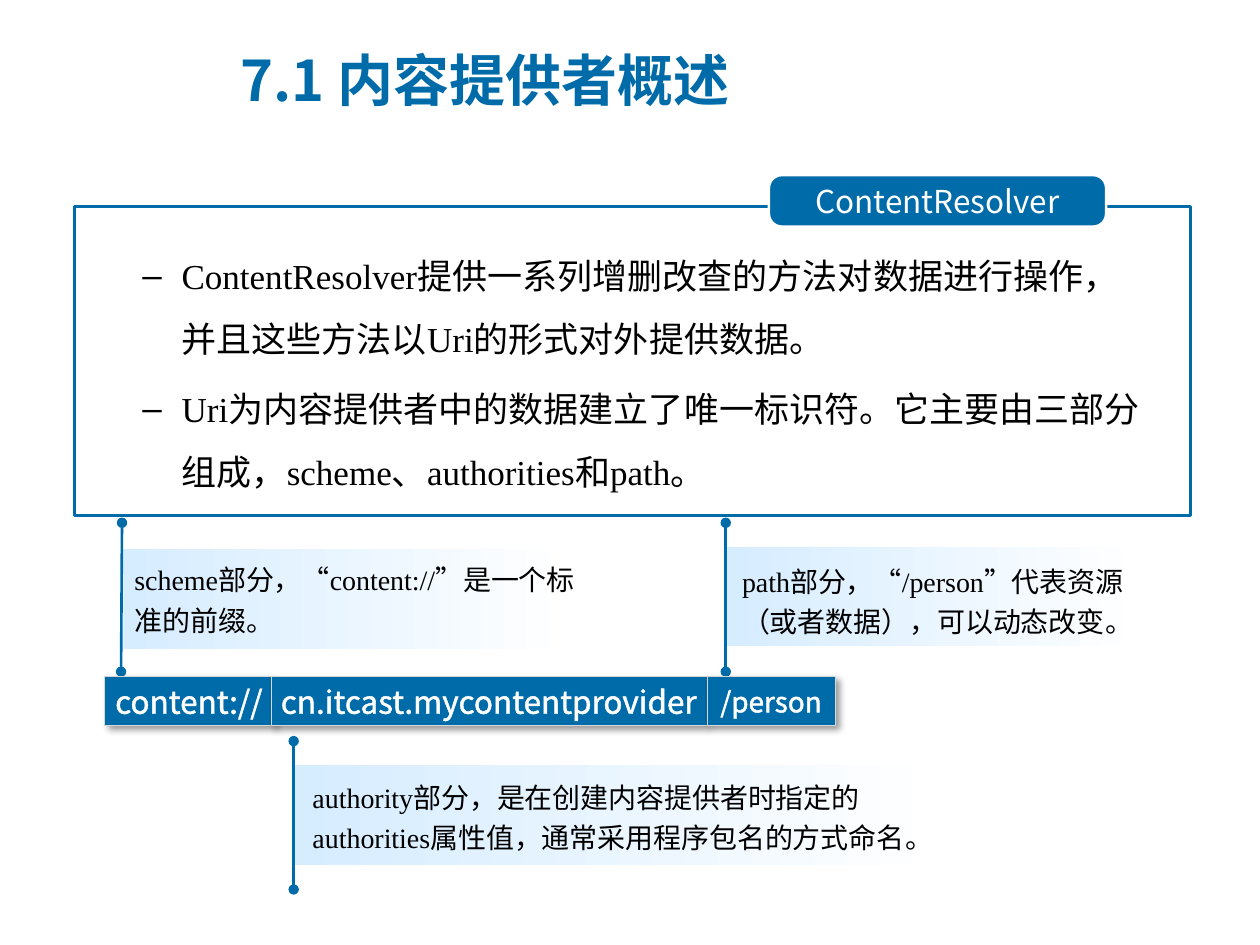
from lxml import etree
from pptx import Presentation
from pptx.dml.color import RGBColor
from pptx.enum.shapes import MSO_CONNECTOR, MSO_SHAPE as Shape
from pptx.enum.text import MSO_ANCHOR as Anchor, MSO_AUTO_SIZE as AutoSize, PP_ALIGN as Align
from pptx.oxml import parse_xml
from pptx.oxml.ns import nsdecls, qn
from pptx.util import Cm, Pt

COLORS = {name: RGBColor.from_string(value) for name, value in {
    "blue": "006BA9", "pale": "D6ECFF", "white": "FFFFFF",
    "black": "000000", "edge": "D7D7D7"}.items()}
SANS, SERIF = "Noto Sans CJK SC", "Times New Roman"


def add_text(paragraph, text, size, font=SERIF, color="black", bold=False):
    run = paragraph.add_run()
    run.text = text
    for name, value in {"size": Pt(size), "name": font, "bold": bold}.items():
        setattr(run.font, name, value)
    run.font.color.rgb = COLORS[color]
    properties = run.font._element
    properties.set("lang", "zh-CN")
    properties.find(qn("a:latin")).addnext(
        parse_xml(f'<a:ea {nsdecls("a")} typeface="{SANS}"/>'))
    return run


def format_frame(frame, anchor, side=0.25, top=0.13):
    settings = {"word_wrap": True, "auto_size": AutoSize.NONE,
                "vertical_anchor": anchor, "margin_left": Cm(side),
                "margin_right": Cm(side), "margin_top": Cm(top), "margin_bottom": Cm(top)}
    for name, value in settings.items():
        setattr(frame, name, value)


deck = Presentation()
deck.slide_width, deck.slide_height = Cm(25.4), Cm(19.05)
slide = deck.slides.add_slide(deck.slide_layouts[1])
shapes = slide.shapes
heading, points = slide.placeholders

# Title
heading.left, heading.top, heading.width, heading.height = map(Cm, (4.6, 0.53, 14.3, 2.13))
format_frame(heading.text_frame, Anchor.MIDDLE)
heading_line = heading.text_frame.paragraphs[0]
heading_line.alignment = Align.LEFT
add_text(heading_line, "7.1 内容提供者概述", 32, SANS, "blue", True)

# Framed box with its label
frame_box = shapes.add_shape(Shape.RECTANGLE, Cm(1.5), Cm(4.17), Cm(22.5), Cm(6.22))
frame_box.shadow.inherit = False
frame_box.fill.background()
frame_box.line.color.rgb = COLORS["blue"]
frame_box.line.width = Pt(1.5)

label = shapes.add_shape(Shape.ROUNDED_RECTANGLE, Cm(15.5), Cm(3.53), Cm(6.8), Cm(1.04))
label.adjustments[0] = 0.25
label.shadow.inherit = False
label.fill.solid()
label.fill.fore_color.rgb = COLORS["blue"]
label.line.color.rgb = COLORS["white"]
label.line.width = Pt(1.5)
format_frame(label.text_frame, Anchor.MIDDLE, 0.6, 0.15)
label.text_frame.paragraphs[0].alignment = Align.CENTER
add_text(label.text_frame.paragraphs[0], "ContentResolver", 18, SANS, "white")

# Bulleted points
points.left, points.top, points.width, points.height = map(Cm, (1.35, 4.57, 22.15, 5.41))
format_frame(points.text_frame, Anchor.TOP)
statements = [
    "ContentResolver提供一系列增删改查的方法对数据进行操作，并且这些方法以Uri的形式对外提供数据。",
    "Uri为内容提供者中的数据建立了唯一标识符。它主要由三部分组成，scheme、authorities和path。",
]
for index, statement in enumerate(statements):
    point = points.text_frame.paragraphs[0] if index == 0 else points.text_frame.add_paragraph()
    point.level = 1
    layout = point._p.get_or_add_pPr()
    layout.set("marL", str(Cm(2.06)))
    layout.set("indent", str(-Cm(0.79)))
    etree.SubElement(layout, qn("a:buChar"), char="–")
    point.line_spacing = 1.5
    point.space_before = Pt(4 * index)
    add_text(point, statement, 20)

# Notes on the URI parts: line (start, end), tinted band, text area, wording
notes = [
    ((2.44, 13.54, 2.46, 10.54), (2.49, 11.07, 9.02, 2.01), (2.46, 10.92, 9.4, 2.21),
     "scheme部分，“content://”是一个标准的前缀"),
    ((5.92, 17.93, 5.92, 14.94), (5.94, 15.42, 13.11, 2.01), (6.05, 15.11, 13.41, 2.59),
     "authority部分，是在创建内容提供者时指定的authorities属性值，通常采用程序包名的方式命名"),
    ((14.63, 13.54, 14.63, 10.54), (14.66, 11.02, 8.36, 2.01), (14.71, 11.05, 8.36, 2.01),
     "path部分，“/person”代表资源（或者数据），可以动态改变"),
]
for ends, band_area, text_area, wording in notes:
    band = shapes.add_shape(Shape.RECTANGLE, *map(Cm, band_area))
    band.shadow.inherit = False
    band.line.fill.background()
    band.fill.gradient()
    band.fill.gradient_angle = 0
    for stop, color in zip(band.fill.gradient_stops, ("pale", "white")):
        stop.color.rgb = COLORS[color]

    marker = shapes.add_connector(MSO_CONNECTOR.STRAIGHT, *map(Cm, ends))
    marker.line.color.rgb = COLORS["blue"]
    marker.line.width = Pt(1.5)
    for end in ("a:headEnd", "a:tailEnd"):
        etree.SubElement(marker.line._get_or_add_ln(), qn(end), type="oval")
    etree.SubElement(marker._element.spPr, qn("a:effectLst"))

    note = shapes.add_textbox(*map(Cm, text_area)).text_frame
    format_frame(note, Anchor.MIDDLE)
    note.paragraphs[0].line_spacing = 1.2
    add_text(note.paragraphs[0], wording, 16)
    add_text(note.paragraphs[0], "。", 16, "Calibri")

# URI strip
uri_parts = [
    (Shape.PENTAGON, 2.11, 3.4, "content://", 18),
    (Shape.CHEVRON, 5.46, 8.79, "cn.itcast.mycontentprovider", 18),
    (Shape.CHEVRON, 14.25, 2.59, "/person", 16),
]
for outline, left, width, wording, size in uri_parts:
    part = shapes.add_shape(outline, Cm(left), Cm(13.64), Cm(width), Cm(0.99))
    part.adjustments[0] = 0
    part.fill.solid()
    part.fill.fore_color.rgb = COLORS["blue"]
    part.line.color.rgb = COLORS["edge"]
    part.line.width = Pt(0.25)
    part._element.spPr.append(parse_xml(
        f'<a:effectLst {nsdecls("a")}><a:outerShdw blurRad="{Pt(4)}" dist="{Pt(3)}" '
        'dir="2700000" algn="tl" rotWithShape="0"><a:srgbClr val="000000">'
        '<a:alpha val="40000"/></a:srgbClr></a:outerShdw></a:effectLst>'))
    format_frame(part.text_frame, Anchor.MIDDLE, 0)
    part.text_frame.paragraphs[0].alignment = Align.CENTER
    run = add_text(part.text_frame.paragraphs[0], wording, size, SANS, "white")
    run.font._element.insert(0, parse_xml(
        f'<a:ln {nsdecls("a")} w="{Pt(0.75)}"><a:solidFill>'
        f'<a:srgbClr val="{COLORS["white"]}"/></a:solidFill></a:ln>'))

deck.save("out.pptx")
